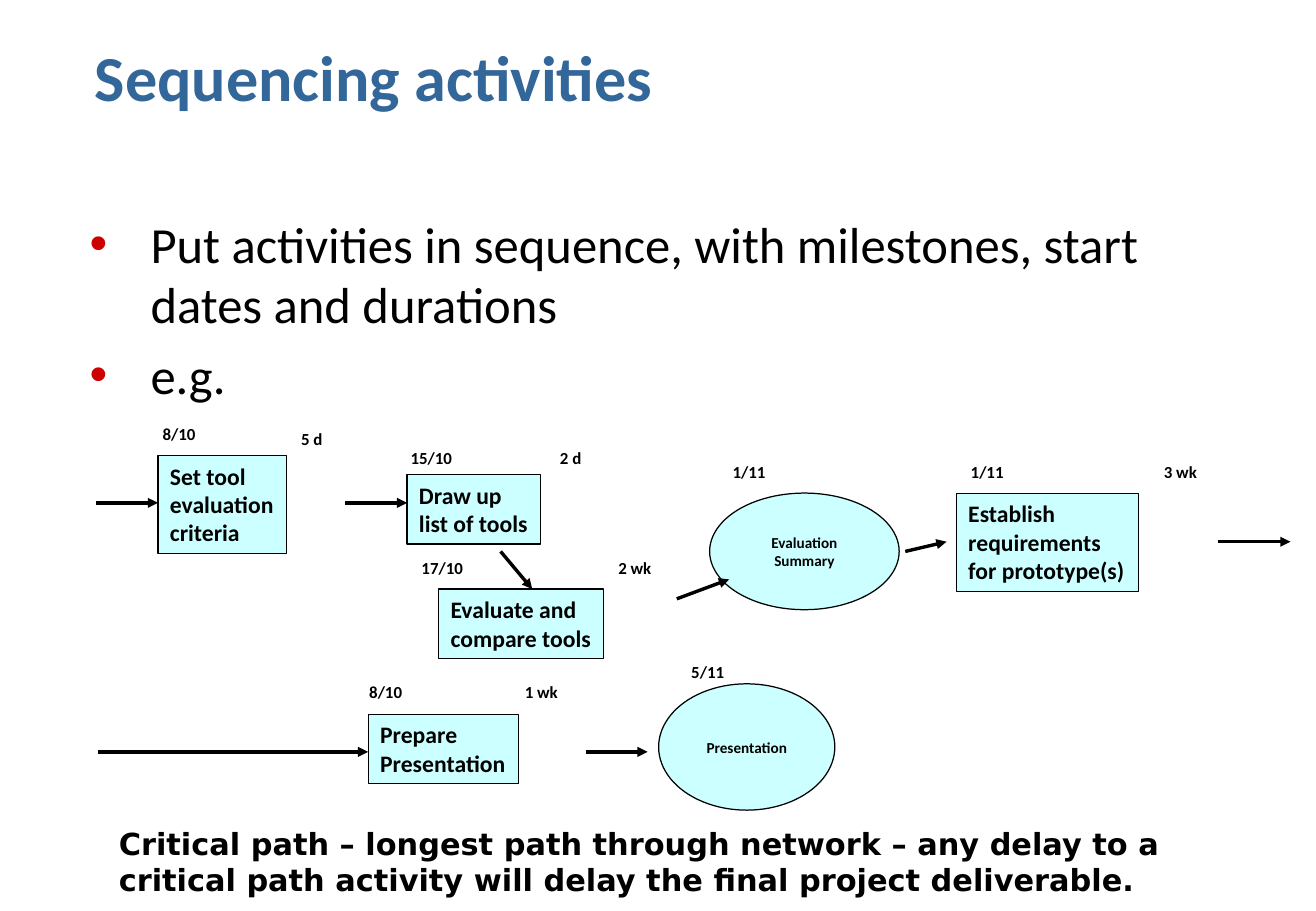
from pptx import Presentation
from pptx.dml.color import RGBColor
from pptx.enum.shapes import MSO_CONNECTOR, MSO_SHAPE
from pptx.enum.text import MSO_ANCHOR, MSO_AUTO_SIZE, PP_ALIGN
from pptx.oxml.ns import qn
from pptx.util import Inches, Pt
from lxml.etree import SubElement

COLOURS = {"title": "336699", "bullet": "CC0000", "node": "CCFFFF", "ink": "000000"}


def colour(name):
    return RGBColor.from_string(COLOURS[name])


def write(frame, text, size, font="Calibri", ink="ink", bold=True, wrap=False,
          align=PP_ALIGN.LEFT, anchor=MSO_ANCHOR.TOP, fit=MSO_AUTO_SIZE.SHAPE_TO_FIT_TEXT):
    """Fill the first paragraph of the frame; a newline is a line break."""
    frame.word_wrap = wrap
    frame.auto_size = fit
    frame.vertical_anchor = anchor
    para = frame.paragraphs[0]
    para.text = text
    para.alignment = align
    for span in para.runs:
        span.font.name = font
        span.font.size = Pt(size)
        span.font.bold = bold
        span.font.color.rgb = colour(ink)
    for line_break in para._p.findall(qn("a:br")):
        SubElement(line_break, qn("a:rPr"), sz=str(size * 100))


deck = Presentation()
deck.slide_width, deck.slide_height = Inches(10.83), Inches(7.5)
page = deck.slides.add_slide(deck.slide_layouts[5])

# Title
title = page.shapes.title
title.left, title.top = Inches(0.68), Inches(0.33)
title.width, title.height = Inches(9.48), Inches(0.66)
write(title.text_frame, "Sequencing activities", 38, ink="title", wrap=True,
      anchor=MSO_ANCHOR.BOTTOM, fit=MSO_AUTO_SIZE.NONE)

# Bulleted text
body = page.shapes.add_textbox(Inches(0.64), Inches(1.7), Inches(9.48), Inches(4.67))
body.text_frame.word_wrap = True
bullets = ["Put activities in sequence, with milestones, start dates and durations", "e.g."]
body.text_frame.text = "\n".join(bullets)
for para in body.text_frame.paragraphs:
    para.space_before = Pt(6)
    span = para.runs[0]
    span.font.name = "Calibri"
    span.font.size = Pt(30)
    span.font.color.rgb = colour("ink")
    properties = para._p.get_or_add_pPr()
    properties.set("marL", str(Inches(0.5)))
    properties.set("indent", str(Inches(-0.5)))
    bullet_colour = SubElement(properties, qn("a:buClr"))
    SubElement(bullet_colour, qn("a:srgbClr"), val=COLOURS["bullet"])
    SubElement(properties, qn("a:buFont"), typeface="Arial")
    SubElement(properties, qn("a:buChar"), char="•")

# Activities are rectangles, milestones are ellipses
activities = [
    ("Set tool\nevaluation\ncriteria", 1.3, 3.75, 1.06, 0.81),
    ("Draw up\nlist of tools", 3.35, 3.91, 1.1, 0.57),
    ("Evaluate and\ncompare tools", 3.61, 4.85, 1.36, 0.57),
    ("Establish\nrequirements\nfor prototype(s)", 7.87, 4.06, 1.5, 0.81),
    ("Prepare \nPresentation", 3.03, 5.88, 1.24, 0.57),
]
milestones = [
    ("Evaluation Summary", 5.84, 4.06, 1.56, 0.96),
    ("Presentation", 5.42, 5.63, 1.45, 1.04),
]
activity_format = {"size": 14}
milestone_format = {"size": 9, "wrap": True, "align": PP_ALIGN.CENTER,
                    "anchor": MSO_ANCHOR.MIDDLE, "fit": MSO_AUTO_SIZE.NONE}
for kind, nodes, text_format in [
    (MSO_SHAPE.RECTANGLE, activities, activity_format),
    (MSO_SHAPE.OVAL, milestones, milestone_format),
]:
    for text, *place in nodes:
        node = page.shapes.add_shape(kind, *map(Inches, place))
        node.shadow.inherit = False
        node.fill.solid()
        node.fill.fore_color.rgb = colour("node")
        node.line.color.rgb = colour("ink")
        node.line.width = Pt(0.75)
        write(node.text_frame, text, **text_format)
        if text == "Presentation":
            frame = node.text_frame
            frame.margin_left = frame.margin_right = 0
            frame.margin_top = frame.margin_bottom = 0

# Arrows: start x, start y, end x, end y
arrows = [
    (0.81, 6.19, 3.03, 6.19),
    (0.79, 4.14, 1.3, 4.14),
    (2.84, 4.14, 3.35, 4.14),
    (4.12, 4.54, 4.38, 4.85),
    (5.57, 4.93, 6, 4.77),
    (7.45, 4.54, 7.79, 4.46),
    (4.82, 6.19, 5.33, 6.19),
    (10.02, 4.46, 10.62, 4.46),
]
for ends in arrows:
    arrow = page.shapes.add_connector(MSO_CONNECTOR.STRAIGHT, *map(Inches, ends))
    arrow.line.color.rgb = colour("ink")
    arrow.line.width = Pt(2)
    SubElement(arrow.line._get_or_add_ln(), qn("a:tailEnd"), type="triangle")
    SubElement(arrow._element.spPr, qn("a:effectLst"))

# Start dates and durations
labels = [
    ("8/10", 1.24, 3.44, 0.48), ("5 d", 2.38, 3.48, 0.38),
    ("15/10", 3.28, 3.64, 0.55), ("2 d", 4.51, 3.64, 0.38),
    ("17/10", 3.37, 4.54, 0.55), ("2 wk", 4.99, 4.54, 0.48),
    ("1/11", 5.93, 3.75, 0.48),
    ("1/11", 7.89, 3.75, 0.48), ("3 wk", 9.48, 3.75, 0.48),
    ("8/10", 2.94, 5.56, 0.48), ("1 wk", 4.22, 5.56, 0.48),
    ("5/11", 5.59, 5.4, 0.48),
]
for text, left, top, width in labels:
    label = page.shapes.add_textbox(Inches(left), Inches(top), Inches(width), Inches(0.27))
    write(label.text_frame, text, 10)

# Closing remark
remark = page.shapes.add_textbox(Inches(0.88), Inches(6.74), Inches(9.07), Inches(0.71))
write(remark.text_frame,
      "Critical path – longest path through network – any delay to a "
      "critical path activity will delay the final project deliverable.",
      18, font="DejaVu Sans", wrap=True)

deck.save("out.pptx")
